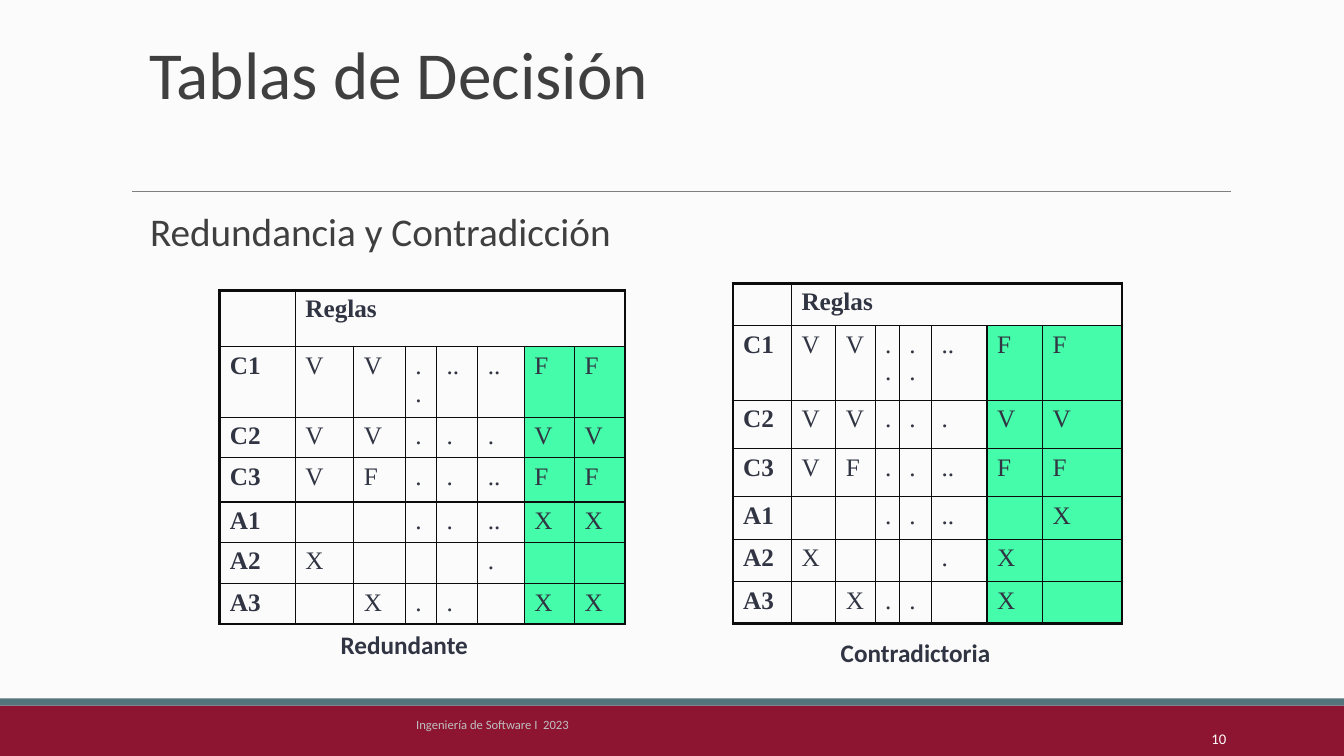
from dataclasses import dataclass

from lxml.etree import SubElement
from pptx import Presentation
from pptx.dml.color import RGBColor
from pptx.enum.shapes import MSO_CONNECTOR, MSO_SHAPE
from pptx.enum.text import MSO_ANCHOR, PP_ALIGN
from pptx.oxml import parse_xml
from pptx.oxml.ns import nsdecls, qn
from pptx.util import Inches, Pt


@dataclass(frozen=True)
class Theme:
    background: str = "FBFBFB"
    band: str = "8D1532"
    accent: str = "54747B"
    rule: str = "7F7F7F"
    heading: str = "3F3F3F"
    ink: str = "313543"
    footer: str = "BFBFBF"
    white: str = "FFFFFF"
    border: str = "0C0C0C"
    highlight: str = "44FCA9"
    sans: str = "Calibri"
    serif: str = "Times New Roman"
    title_size: float = 48
    subtitle_size: float = 28
    text_size: float = 18
    number_size: float = 10.5
    footer_size: float = 9
    thin: float = 1
    thick: float = 2.25


THEME = Theme()
HIGHLIGHTED_COLUMNS = 2

# Every row: label, then one entry per rule.
SHARED_ROWS = [
    ["C1", "V", "V", "..", "..", "..", "F", "F"],
    ["C2", "V", "V", ".", ".", ".", "V", "V"],
    ["C3", "V", "F", ".", ".", "..", "F", "F"],
]
ACTION_ROWS = [
    ["A1", "", "", ".", ".", ".."],
    ["A2", "X", "", "", "", "."],
    ["A3", "", "X", ".", ".", ""],
]


def decision_rows(outcomes):
    """Complete the action rows with the outcomes of the two compared rules."""
    return SHARED_ROWS + [row + list(pair) for row, pair in zip(ACTION_ROWS, outcomes)]


def style_run(run, size, color, font, bold=False):
    run.font.size = Pt(size)
    run.font.color.rgb = RGBColor.from_string(color)
    run.font.name = font
    run.font.bold = bold


def add_text(slide, box, text, size, color, bold=False, align=PP_ALIGN.LEFT,
             anchor=MSO_ANCHOR.TOP, line_spacing=None, space_before=None):
    frame = slide.shapes.add_textbox(*map(Inches, box)).text_frame
    frame.word_wrap = True
    frame.vertical_anchor = anchor
    frame.text = text
    paragraph = frame.paragraphs[0]
    paragraph.alignment = align
    if line_spacing:
        paragraph.line_spacing = line_spacing
    if space_before:
        paragraph.space_before = Pt(space_before)
    style_run(paragraph.runs[0], size, color, THEME.sans, bold)


def add_bar(slide, box, color):
    bar = slide.shapes.add_shape(MSO_SHAPE.RECTANGLE, *map(Inches, box))
    bar.shadow.inherit = False
    bar.fill.solid()
    bar.fill.fore_color.rgb = RGBColor.from_string(color)
    bar.line.fill.background()


def add_rule(slide, left, right, top):
    rule = slide.shapes.add_connector(
        MSO_CONNECTOR.STRAIGHT, Inches(left), Inches(top), Inches(right), Inches(top))
    rule.line.color.rgb = RGBColor.from_string(THEME.rule)
    rule.line.width = Pt(0.75)
    SubElement(rule.element.spPr, qn("a:effectLst"))


def set_borders(cell, outer_sides):
    """Outline a cell, thick on the sides that lie on the table's edge."""
    properties = cell._tc.get_or_add_tcPr()
    for index, side in enumerate("LRTB"):
        width = Pt(THEME.thick if side in outer_sides else THEME.thin)
        properties.insert(index, parse_xml(
            f'<a:ln{side} {nsdecls("a")} w="{width}"><a:solidFill>'
            f'<a:srgbClr val="{THEME.border}"/></a:solidFill></a:ln{side}>'))


def fill_cell(cell, text, bold, highlighted):
    cell.text = text
    paragraph = cell.text_frame.paragraphs[0]
    for run in paragraph.runs:
        style_run(run, THEME.text_size, THEME.ink, THEME.serif, bold)
    if not text:
        # An empty cell takes its line height from the paragraph end.
        end = SubElement(paragraph._p, qn("a:endParaRPr"), sz=str(int(THEME.text_size * 100)))
        SubElement(end, qn("a:latin"), typeface=THEME.serif)
    if highlighted:
        cell.fill.solid()
        cell.fill.fore_color.rgb = RGBColor.from_string(THEME.highlight)
    else:
        cell.fill.background()


def add_decision_table(slide, left, top, widths, heights, outcomes):
    header = ["", "Reglas"] + [""] * (len(widths) - 2)
    rows = [header] + decision_rows(outcomes)
    last_row, last_column = len(rows) - 1, len(widths) - 1
    table = slide.shapes.add_table(
        len(rows), len(widths), Inches(left), Inches(top),
        Inches(sum(widths)), Inches(sum(heights))).table
    table.first_row = table.horz_banding = False
    for column, width in zip(table.columns, widths):
        column.width = Inches(width)
    for row, height in zip(table.rows, heights):
        row.height = Inches(height)
    table.cell(0, 1).merge(table.cell(0, last_column))

    for r, entries in enumerate(rows):
        for c, text in enumerate(entries):
            cell = table.cell(r, c)
            highlighted = r > 0 and c > last_column - HIGHLIGHTED_COLUMNS
            fill_cell(cell, text, r == 0 or c == 0, highlighted)
            edges = {"L": c == 0, "T": r == 0, "B": r == last_row,
                     "R": c == last_column or (r == 0 and c > 0)}
            set_borders(cell, [side for side, outer in edges.items() if outer])


def main():
    presentation = Presentation()
    presentation.slide_width = Inches(13.33)
    presentation.slide_height = Inches(7.5)
    slide = presentation.slides.add_slide(presentation.slide_layouts[6])
    slide.background.fill.solid()
    slide.background.fill.fore_color.rgb = RGBColor.from_string(THEME.background)

    add_bar(slide, (0, 7, 13.33, 0.5), THEME.band)
    add_bar(slide, (0, 6.93, 13.33, 0.07), THEME.accent)
    add_rule(slide, 1.31, 12.21, 1.9)
    add_text(slide, (4.03, 7.06, 5.27, 0.4), "Ingeniería de Software I  2023",
             THEME.footer_size, THEME.footer)
    add_text(slide, (10.83, 7.06, 1.43, 0.4), "10", THEME.number_size, THEME.white,
             align=PP_ALIGN.RIGHT, anchor=MSO_ANCHOR.BOTTOM)

    add_text(slide, (1.38, 0.39, 11.29, 1.25), "Tablas de Decisión",
             THEME.title_size, THEME.heading, line_spacing=0.85)
    add_text(slide, (1.39, 2.08, 11, 0.6), "Redundancia y Contradicción",
             THEME.subtitle_size, THEME.heading, line_spacing=0.85, space_before=4.5)

    add_decision_table(
        slide, 7.27, 2.81,
        widths=[0.58, 0.44, 0.39, 0.24, 0.32, 0.55, 0.55, 0.79],
        heights=[0.42, 0.74, 0.48, 0.48, 0.42, 0.42, 0.42],
        outcomes=[("", "X"), ("X", ""), ("X", "")])
    add_decision_table(
        slide, 2.18, 2.88,
        widths=[0.75, 0.58, 0.51, 0.31, 0.41, 0.46, 0.5, 0.5],
        heights=[0.56, 0.64, 0.37, 0.44, 0.36, 0.41, 0.36],
        outcomes=[("X", "X"), ("", ""), ("X", "X")])
    for box, caption in [((3.28, 6.19, 1.53, 0.4), "Redundante"),
                         ((8.24, 6.27, 1.75, 0.4), "Contradictoria")]:
        add_text(slide, box, caption, THEME.text_size, THEME.ink, bold=True)

    presentation.save("out.pptx")


if __name__ == "__main__":
    main()
